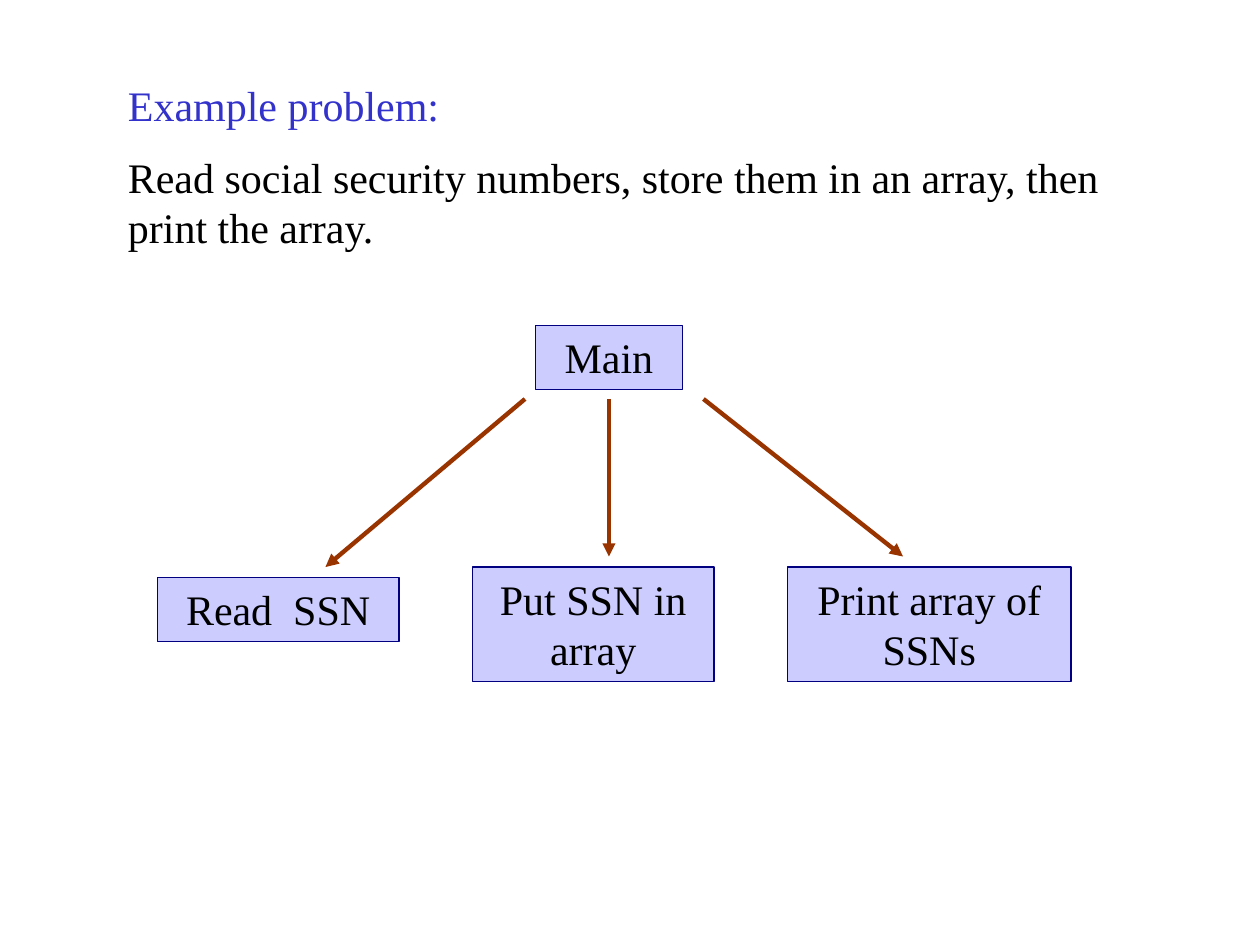
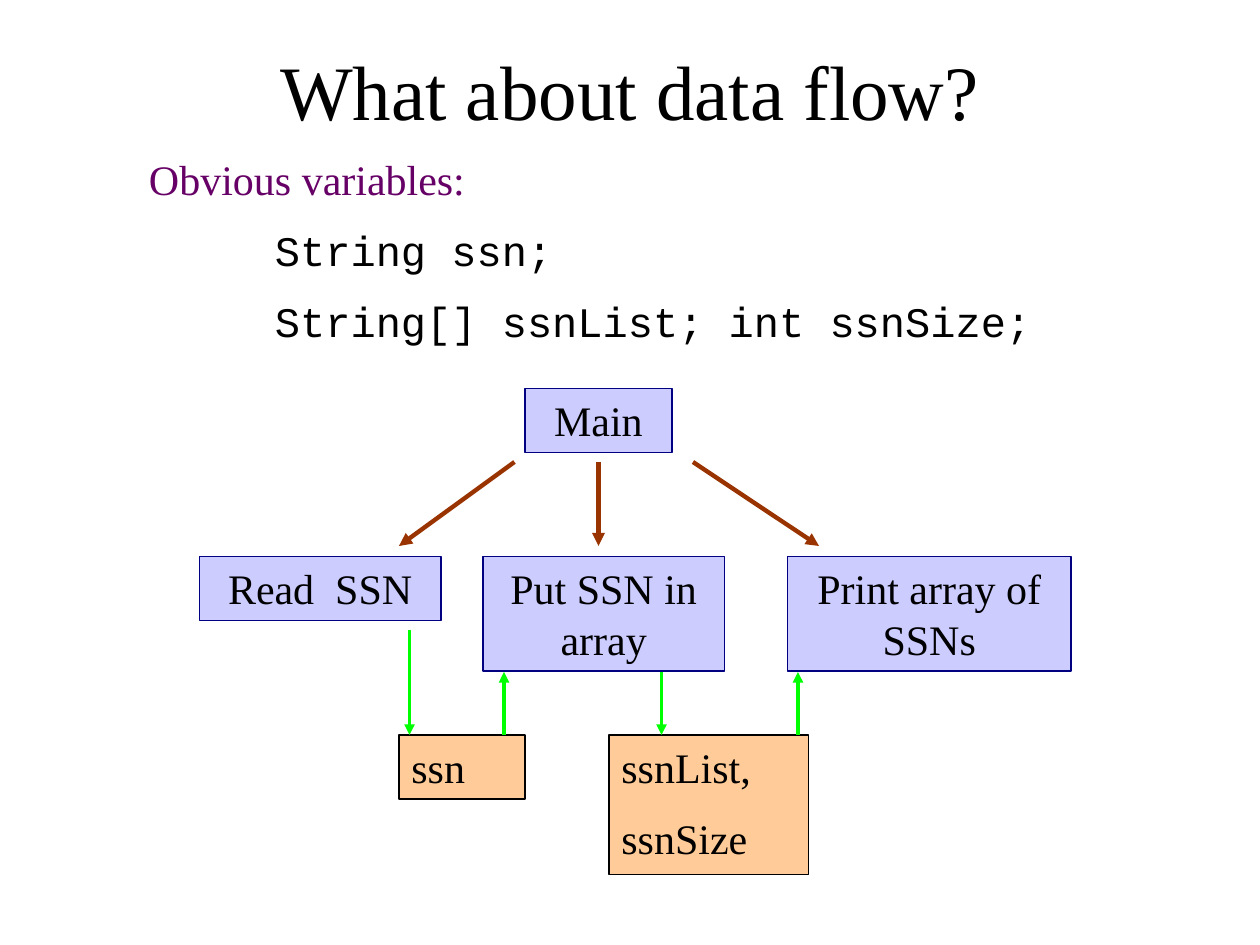
from lxml.etree import SubElement
from pptx import Presentation
from pptx.dml.color import RGBColor
from pptx.enum.shapes import MSO_CONNECTOR, MSO_SHAPE
from pptx.enum.text import MSO_ANCHOR as ANCHOR, PP_ALIGN as ALIGN
from pptx.oxml.ns import qn
from pptx.util import Pt

BLACK = RGBColor(0x00, 0x00, 0x00)
BLUE = RGBColor(0x33, 0x33, 0xCC)
PURPLE = RGBColor(0x66, 0x00, 0x66)
LILAC = RGBColor(0xCC, 0xCC, 0xFF)
NAVY = RGBColor(0x00, 0x00, 0x80)
PEACH = RGBColor(0xFF, 0xCC, 0x99)
BROWN = RGBColor(0x99, 0x33, 0x00)
GREEN = RGBColor(0x00, 0xFF, 0x00)
SERIF, MONO = "Times New Roman", "Courier New"

# Paragraphs: text and what differs from black 24 point serif.
CODE = {"name": MONO, "indent": 72}
MODULES = {  # text: (width, lines)
    "Main": (84, 1),
    "Read  SSN": (138, 1),
    "Put SSN in array": (138, 2),
    "Print array of SSNs": (162, 2),
}
LINE_H, PAD, PARA_GAP = 28.8, 7.8, 12

SLIDES = [
    {
        "text_at": (66, 42, 588, 108),
        "text": [
            ("Example problem:", {"color": BLUE}),
            ("Read social security numbers, store them in an array, "
             "then print the array.", {}),
        ],
        "places": [(306, 186), (90, 330), (270, 324), (450, 324)],
        "call_tips": [(186, 324), (348, 318), (516, 318)],
    },
    {
        "title": "What about data flow?",
        "text_at": (78, 84, 564, 122.4),
        "text": [
            ("Obvious variables:", {"color": PURPLE}),
            ("String ssn;", CODE),
            ("String[] ssnList; int ssnSize;", CODE),
        ],
        "places": [(300, 222), (114, 318), (276, 318), (450, 318)],
        "call_tips": [(228, 312), (342, 312), (468, 312)],
        "variables": [
            ((228, 420, 72, 36.6), ["ssn"]),
            ((348, 420, 114, 79.8), ["ssnList,", "ssnSize"]),
        ],
        "flows": [(234, 360, 420), (288, 420, 384),
                  (378, 384, 420), (456, 420, 384)],  # x, from y, to y
    },
]


def write(sp, paras, align=ALIGN.LEFT, anchor=ANCHOR.TOP):
    """Fill a shape with formatted paragraphs."""
    tf = sp.text_frame
    tf.word_wrap, tf.vertical_anchor = True, anchor
    for i, (text, changes) in enumerate(paras):
        p = tf.add_paragraph() if i else tf.paragraphs[0]
        p.alignment = align
        if i:
            p.space_before = Pt(PARA_GAP)
        fmt = {"name": SERIF, "size": 24, "color": BLACK, "indent": 0} | changes
        if fmt["indent"]:
            p._p.get_or_add_pPr().set("marL", str(Pt(fmt["indent"])))
        r = p.add_run()
        r.text = text
        r.font.color.rgb = fmt["color"]
        for key, value in {"name": fmt["name"], "size": Pt(fmt["size"])}.items():
            setattr(r.font, key, value)


def add_text(s, at, paras, **layout):
    """Add a plain text box."""
    write(s.shapes.add_textbox(*map(Pt, at)), paras, **layout)


def add_box(s, at, paras, fill, line, width, align):
    """Add a filled, outlined rectangle with text."""
    sp = s.shapes.add_shape(MSO_SHAPE.RECTANGLE, *map(Pt, at))
    sp.shadow.inherit = False
    sp.fill.solid()
    sp.fill.fore_color.rgb = fill
    sp.line.color.rgb = line
    sp.line.width = Pt(width)
    write(sp, paras, align)


def add_arrow(s, start, end, color, width):
    """Add a straight arrow with its head at the end."""
    c = s.shapes.add_connector(MSO_CONNECTOR.STRAIGHT, *map(Pt, start + end))
    c.line.color.rgb = color
    c.line.width = Pt(width)
    SubElement(c.line._get_or_add_ln(), qn("a:tailEnd"), type="triangle")
    SubElement(c._element.spPr, qn("a:effectLst"))


def add_modules(s, places, tips):
    """Draw the module boxes and the call arrows that leave Main."""
    for (x, y), (text, (w, lines)) in zip(places, MODULES.items()):
        add_box(s, (x, y, w, PAD + lines * LINE_H), [(text, {})],
                LILAC, NAVY, 1, ALIGN.CENTER)
    x, y = places[0]
    for dx, tip in zip((-6, 42, 96), tips):
        add_arrow(s, (x + dx, y + 42), tip, BROWN, 2.5)


prs = Presentation()
prs.slide_width, prs.slide_height = Pt(720), Pt(540)
for content in SLIDES:
    s = prs.slides.add_slide(prs.slide_layouts[6])
    if "title" in content:
        add_text(s, (54, 24, 612, 54), [(content["title"], {"size": 44})],
                 align=ALIGN.CENTER, anchor=ANCHOR.MIDDLE)
    add_text(s, content["text_at"], content["text"])
    add_modules(s, content["places"], content["call_tips"])
    for at, names in content.get("variables", []):
        add_box(s, at, [(name, {}) for name in names],
                PEACH, BLACK, 0.75, ALIGN.LEFT)
    for x, y1, y2 in content.get("flows", []):
        add_arrow(s, (x, y1), (x, y2), GREEN, 2)
prs.save("out.pptx")
